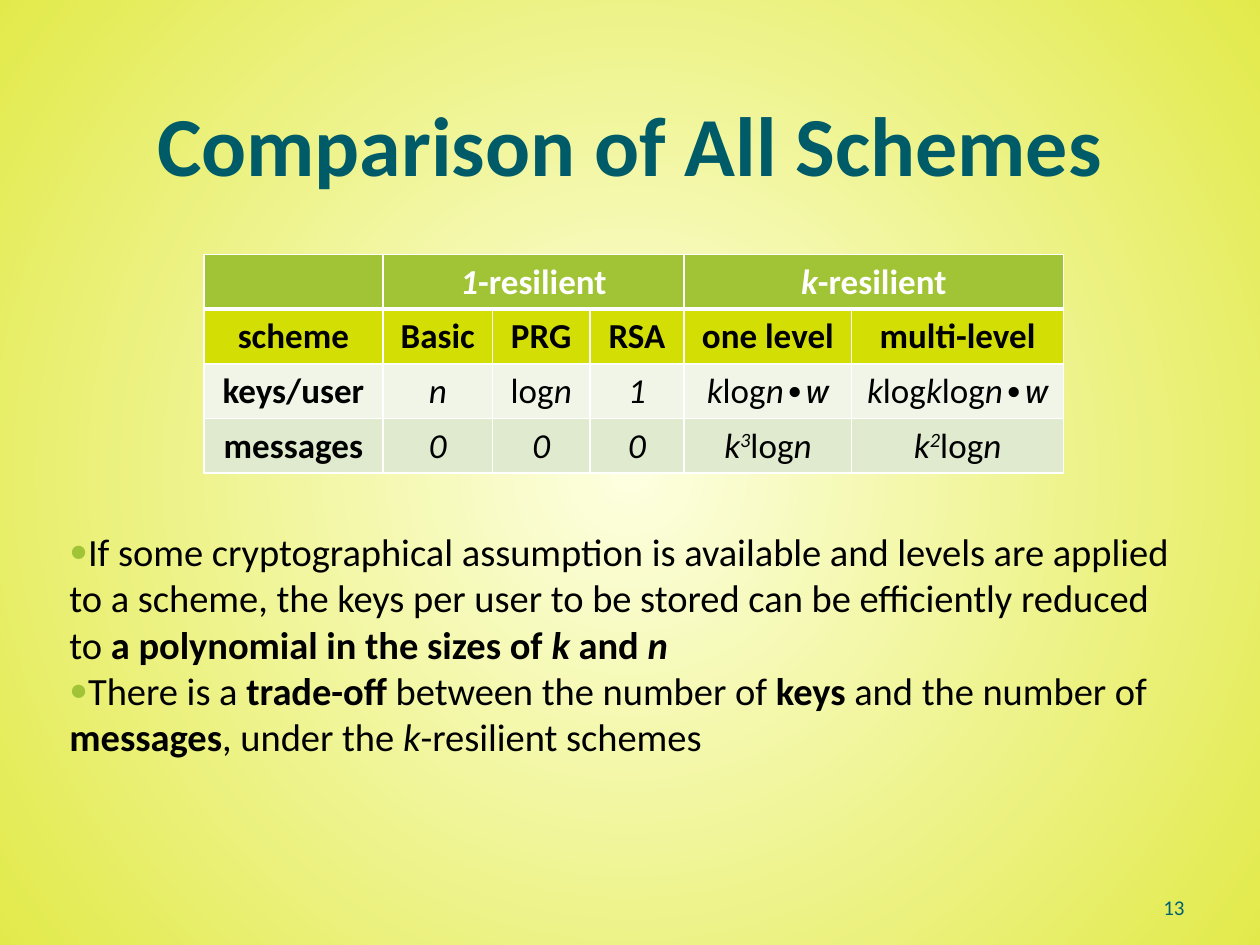
from dataclasses import dataclass, replace

from lxml.etree import SubElement
from pptx import Presentation
from pptx.dml.color import RGBColor as Rgb
from pptx.enum.text import MSO_ANCHOR as Anchor, MSO_AUTO_SIZE as AutoSize, PP_ALIGN as Align
from pptx.oxml.ns import qn
from pptx.util import Cm, Pt


@dataclass(frozen=True)
class Theme:
    font: str = "Calibri"
    formula_font: str = "Cabin"
    title_size: float = 48
    body_size: float = 22
    table_size: float = 20
    number_size: float = 12
    title: str = "005B68"
    number: str = "006270"
    text: str = "000000"
    white: str = "FFFFFF"
    accent: str = "A0C435"
    subheader: str = "D2DE04"
    band_light: str = "F0F5E8"
    band_dark: str = "DFEACE"
    glow: str = "FDFFE0"
    edge: str = "E2EA4B"


THEME = Theme()


@dataclass(frozen=True)
class Span:
    text: str
    bold: bool = False
    italic: bool = False
    superscript: bool = False
    font: str = THEME.font


@dataclass(frozen=True)
class Row:
    fill: str
    color: str
    cells: tuple[tuple[Span, ...], ...]


def bold(text: str) -> Span:
    return Span(text, bold=True)


def italic(text: str) -> Span:
    return Span(text, italic=True)


def power(digit: str) -> Span:
    return Span(digit, italic=True, superscript=True)


K, N, LOG = italic("k"), italic("n"), Span("log")
TIMES_W = replace(italic("∙w"), font=THEME.formula_font)
ZERO = (italic("0"),)

COLUMN_WIDTHS = (3.61, 2.21, 1.96, 1.9, 3.38, 4.27)
ROW_HEIGHT = 1.04
HEADER_MERGES = ((1, 3), (4, 5))
ROWS = (
    Row(THEME.accent, THEME.white, (
        (), (replace(bold("1"), italic=True), bold("-resilient")), (), (),
        (replace(bold("k"), italic=True), bold("-resilient")), ())),
    Row(THEME.subheader, THEME.text, tuple(
        (bold(name),) for name in
        ("scheme", "Basic", "PRG", "RSA", "one level", "multi-level"))),
    Row(THEME.band_light, THEME.text, (
        (bold("keys/user"),), (N,), (LOG, N), (italic("1"),),
        (K, LOG, N, TIMES_W), (K, LOG, K, LOG, N, TIMES_W))),
    Row(THEME.band_dark, THEME.text, (
        (bold("messages"),), ZERO, ZERO, ZERO,
        (K, power("3"), LOG, N), (K, power("2"), LOG, N))),
)
POINTS = (
    (Span("If some cryptographical assumption is available and levels are applied to a scheme, "
          "the keys per user to be stored can be efficiently reduced to "),
     bold("a polynomial in the sizes of "), replace(bold("k"), italic=True),
     bold(" and "), replace(bold("n"), italic=True)),
    (Span("There is a "), bold("trade-off"), Span(" between the number of "), bold("keys"),
     Span(" and the number of "), bold("messages"), Span(", under the "), K,
     Span("-resilient schemes")),
)


def write_spans(para, spans: tuple[Span, ...], size: float, color: str) -> None:
    for span in spans:
        run = para.add_run()
        run.text = span.text
        font = run.font
        font.name, font.size = span.font, Pt(size)
        font.bold, font.italic = span.bold, span.italic
        font.color.rgb = Rgb.from_string(color)
        if span.superscript:
            run._r.get_or_add_rPr().set("baseline", "30000")


def place(shape, left: float, top: float, width: float, height: float) -> None:
    shape.left, shape.top, shape.width, shape.height = map(Cm, (left, top, width, height))


def paint_background(slide) -> None:
    """Radial gradient from a pale centre to the stronger edge colour."""
    fill = slide.background.fill
    fill.gradient()
    for stop, color, position in zip(fill.gradient_stops, (THEME.glow, THEME.edge), (0, 1)):
        stop.color.rgb = Rgb.from_string(color)
        stop.position = position
    gradient = next(slide.element.iter(qn("a:gradFill")))
    gradient.remove(gradient.find(qn("a:lin")))
    radial = SubElement(gradient, qn("a:path"), path="circle")
    SubElement(radial, qn("a:fillToRect"), dict.fromkeys("ltrb", "50000"))


def add_bullet(para) -> None:
    properties = para._p.get_or_add_pPr()
    properties.set("marL", "0")
    properties.set("indent", str(Cm(-0.76)))
    SubElement(SubElement(properties, qn("a:buClr")), qn("a:srgbClr"), val=THEME.accent)
    SubElement(properties, qn("a:buSzPct"), val="80000")
    SubElement(properties, qn("a:buChar"), char="●")


def add_borders(cell, top: float, bottom: float) -> None:
    properties = cell._tc.get_or_add_tcPr()
    for side, width in {"L": 1, "R": 1, "T": top, "B": bottom}.items():
        line = SubElement(properties, qn(f"a:ln{side}"), w=str(Pt(width)))
        SubElement(SubElement(line, qn("a:solidFill")), qn("a:srgbClr"), val=THEME.white)


def fill_title(title) -> None:
    place(title, 1.27, 0.84, 22.86, 3.18)
    frame = title.text_frame
    frame.vertical_anchor, frame.auto_size = Anchor.BOTTOM, AutoSize.NONE
    para = frame.paragraphs[0]
    para.alignment = Align.CENTER
    write_spans(para, (bold("Comparison of All Schemes"),), THEME.title_size, THEME.title)


def fill_body(body) -> None:
    place(body, 1.27, 10.52, 22.86, 6.5)
    frame = body.text_frame
    frame.auto_size = AutoSize.NONE
    frame.margin_left = frame.margin_right = frame.margin_top = frame.margin_bottom = Cm(0.13)
    for index, spans in enumerate(POINTS):
        para = frame.add_paragraph() if index else frame.paragraphs[0]
        add_bullet(para)
        para.space_before = Pt(0)
        write_spans(para, spans, THEME.body_size, THEME.text)


def add_scheme_table(slide) -> None:
    table = slide.shapes.add_table(
        len(ROWS), len(COLUMN_WIDTHS), Cm(4.11), Cm(5.13),
        Cm(sum(COLUMN_WIDTHS)), Cm(ROW_HEIGHT * len(ROWS))).table
    for column, width in zip(table.columns, COLUMN_WIDTHS):
        column.width = Cm(width)
    for first, last in HEADER_MERGES:
        table.cell(0, first).merge(table.cell(0, last))
    for row_index, row in enumerate(ROWS):
        table.rows[row_index].height = Cm(ROW_HEIGHT)
        for column_index, spans in enumerate(row.cells):
            cell = table.cell(row_index, column_index)
            add_borders(cell, top=3 if row_index == 1 else 1, bottom=3 if row_index == 0 else 1)
            cell.fill.solid()
            cell.fill.fore_color.rgb = Rgb.from_string(row.fill)
            para = cell.text_frame.paragraphs[0]
            para.alignment = Align.CENTER
            write_spans(para, spans, THEME.table_size, row.color)


def add_page_number(slide) -> None:
    box = slide.shapes.add_textbox(Cm(18.21), Cm(17.35), Cm(5.92), Cm(1.32))
    frame = box.text_frame
    frame.word_wrap, frame.vertical_anchor = True, Anchor.BOTTOM
    para = frame.paragraphs[0]
    para.alignment = Align.RIGHT
    write_spans(para, (Span("13"),), THEME.number_size, THEME.number)


def main() -> None:
    deck = Presentation()
    deck.slide_width, deck.slide_height = Cm(25.4), Cm(19.05)
    slide = deck.slides.add_slide(deck.slide_layouts[1])
    paint_background(slide)
    fill_title(slide.shapes.title)
    add_page_number(slide)
    fill_body(slide.placeholders[1])
    add_scheme_table(slide)
    deck.save("out.pptx")


if __name__ == "__main__":
    main()
